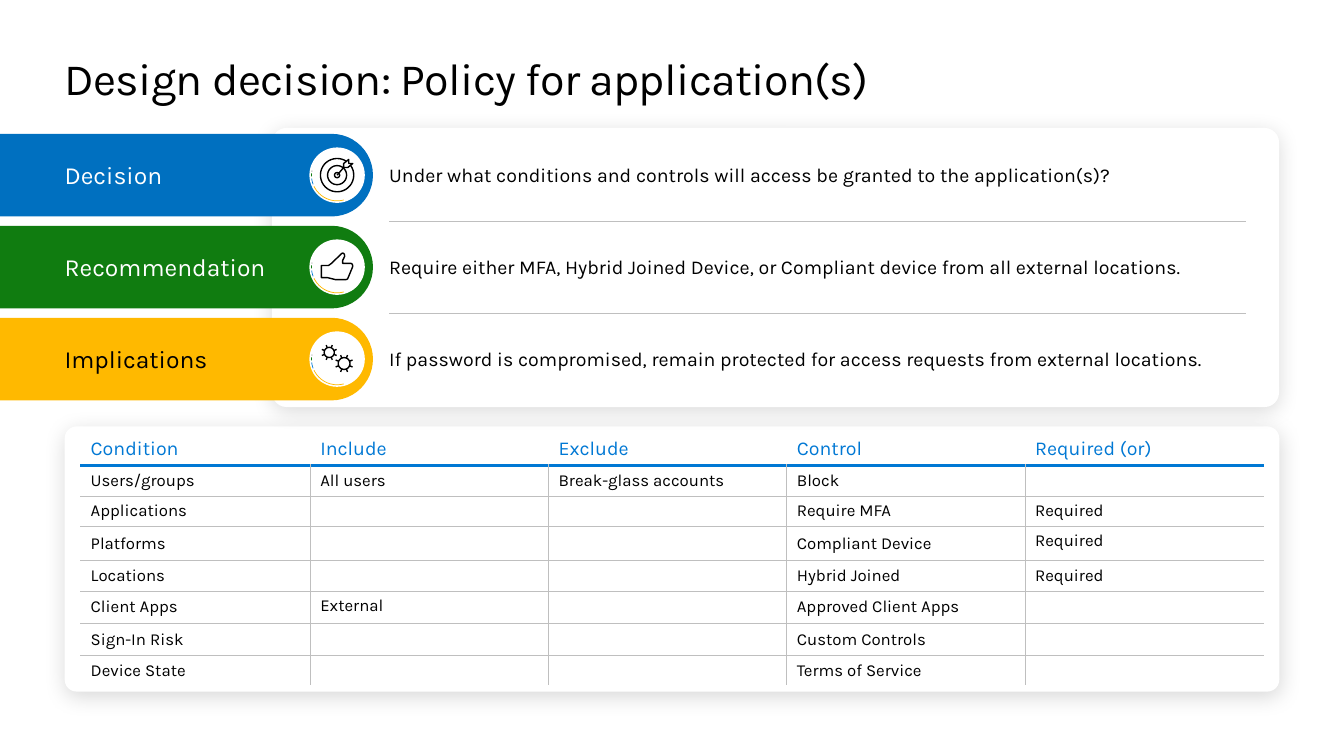
from dataclasses import dataclass
from math import cos, radians, sin

from lxml.etree import SubElement
from pptx import Presentation
from pptx.dml.color import RGBColor
from pptx.enum.shapes import MSO_CONNECTOR, MSO_SHAPE as SHAPE
from pptx.enum.text import MSO_ANCHOR as ANCHOR
from pptx.oxml.ns import qn
from pptx.util import Pt


@dataclass(frozen=True)
class Theme:
    font: str = "Karla"
    white: str = "FFFFFF"
    black: str = "000000"
    blue: str = "0070C0"
    green: str = "107C10"
    yellow: str = "FFB900"
    accent: str = "0078D4"
    dot: str = "737373"
    rule: str = "BFBFBF"
    title_size: float = 32
    label_size: float = 17.6
    body_size: float = 14
    cell_size: float = 12


T = Theme()


def add_text(tf, text, *, size=T.body_size, color=T.black, anchor=ANCHOR.TOP,
             wrap=True, margin=0, spacing=None):
    tf.word_wrap = wrap
    tf.vertical_anchor = anchor
    if margin is not None:
        tf.margin_left = tf.margin_right = tf.margin_top = tf.margin_bottom = Pt(margin)
    r = tf.paragraphs[0].add_run()
    r.text = text
    r.font.name = T.font
    r.font.size = Pt(size)
    r.font.color.rgb = RGBColor.from_string(color)
    if spacing is not None:
        r.font._element.set("spc", str(spacing))


def ring(cx, cy, radius, start=0, end=360):
    """Return the points of a circular arc, clockwise, angles in degrees."""
    angles = [radians(start + (end - start) * i / 36) for i in range(37)]
    return [(cx + radius * cos(a), cy + radius * sin(a)) for a in angles]


# Icons: open or closed outlines around the centre of their disc
target = [
    ring(0, 0, 11.9, -35, 305), ring(0, 0, 6.8), ring(0, 0, 1.8),
    [(0, 0), (4.7, -5.4)],
    [(11.2, -8.3), (8.3, -8.3), (8.3, -11.2), (4.7, -8.3), (4.7, -5.4),
     (7.6, -5.4), (11.2, -8.3)],
]
thumb = [[
    (-11.2, 3.2), (-11.2, 7.6), (-6.8, 7.6), (-4.7, 8.1), (-1.1, 9), (6.1, 9),
    (7, 8.8), (7.6, 8.3), (11.2, -0.4), (11, -1.8), (10.4, -2.5), (9.7, -2.6),
    (4, -2.6), (4, -4.7), (5.4, -7.6), (5.3, -9), (4.7, -9.8), (4, -10),
    (3.2, -9.6), (-4, -2.6), (-6.1, -1.1), (-11.2, -1.1), (-11.2, 3.2),
]]
gears = []
for cx, cy, radius, tip in [(-5.6, -4.7, 3.6, 5.7), (5, 3.2, 4.2, 6.5)]:
    gears.append(ring(cx, cy, radius))
    for k in range(8):
        a = radians(22.5 + 45 * k)
        gears.append([(cx + d * cos(a), cy + d * sin(a)) for d in (radius, tip)])

rows = [
    ("Decision", T.blue, T.white, target,
     "Under what conditions and controls will access be granted to the application(s)?"),
    ("Recommendation", T.green, T.white, thumb,
     "Require either MFA, Hybrid Joined Device, or Compliant device from all external locations."),
    ("Implications", T.yellow, T.black, gears,
     "If password is compromised, remain protected for access requests from external locations."),
]
LEFT, BODY_LEFT, BODY_WIDTH = 46.1, 278, 612
FIRST_ROW, ROW_STEP = 125.1, 65.7
DISC_X = 240.8

prs = Presentation()
prs.slide_width, prs.slide_height = Pt(960), Pt(540)
s = prs.slides.add_slide(prs.slide_layouts[6])
shapes = s.shapes

# Preset shapes: kind, centre, size, rotation, adjustments, fill, line
presets = [
    (SHAPE.ROUNDED_RECTANGLE, 480, 399.3, 867.6, 189.4, 0, [0.045], T.white, None),
    (SHAPE.ROUNDED_RECTANGLE, 554, 191.1, 719.3, 199.4, 0, [0.052], T.white, None),
]
for i, (label, color, *rest) in enumerate(rows):
    y = FIRST_ROW + i * ROW_STEP
    presets += [
        (SHAPE.ROUND_2_SAME_RECTANGLE, 133.2, y, 59, 266.4, 90, [0.5, 0], color, None),
        (SHAPE.OVAL, DISC_X, y, 39.6, 39.6, 0, [], T.white, None),
    ]
    for turn, end, line in [(0, 92.538, T.yellow), (83.9, 53.098, T.accent),
                            (102, 49.111, T.green)]:
        presets.append((SHAPE.ARC, DISC_X, y, 36.7, 36.7, turn, [45.055, end], None, line))
    presets.append((SHAPE.OVAL, 222.8, y - 2.9, 0.7, 0.7, 0, [], T.dot, None))

for n, (kind, cx, cy, w, h, turn, adjustments, fill, line) in enumerate(presets):
    sp = shapes.add_shape(kind, Pt(cx - w / 2), Pt(cy - h / 2), Pt(w), Pt(h))
    sp.rotation = turn
    sp.shadow.inherit = False
    for k, value in enumerate(adjustments):
        sp.adjustments[k] = value
    if fill:
        sp.fill.solid()
        sp.fill.fore_color.rgb = RGBColor.from_string(fill)
    else:
        sp.fill.background()
    if line:
        sp.line.color.rgb = RGBColor.from_string(line)
        sp.line.width = Pt(0.5)
    else:
        sp.line.fill.background()
    if n < 2:  # the two cards cast a soft shadow
        effects = sp._element.spPr.find(qn("a:effectLst"))
        shadow = SubElement(effects, qn("a:outerShdw"), blurRad=str(Pt(15)),
                            dist=str(Pt(3)), dir="5400000", algn="ctr", rotWithShape="0")
        tint = SubElement(shadow, qn("a:srgbClr"), val=T.black)
        SubElement(tint, qn("a:alpha"), val="14000")

for i in range(1, len(rows)):
    y = Pt(FIRST_ROW + (i - 0.5) * ROW_STEP + 0.4)
    rule = shapes.add_connector(MSO_CONNECTOR.STRAIGHT, Pt(BODY_LEFT), y,
                                Pt(BODY_LEFT + BODY_WIDTH), y)
    rule.line.color.rgb = RGBColor.from_string(T.rule)
    rule.line.width = Pt(0.5)
    SubElement(rule._element.spPr, qn("a:effectLst"))

title = shapes.add_textbox(Pt(LEFT), Pt(36), Pt(867.6), Pt(39))
add_text(title.text_frame, "Design decision: Policy for application(s)",
         size=T.title_size, spacing=-50)

for i, (label, color, label_color, outlines, statement) in enumerate(rows):
    y = FIRST_ROW + i * ROW_STEP
    box = shapes.add_textbox(Pt(LEFT), Pt(y - 10.8), Pt(146), Pt(21.6))
    add_text(box.text_frame, label, size=T.label_size, color=label_color,
             anchor=ANCHOR.MIDDLE, wrap=False)

    fb = shapes.build_freeform(Pt(DISC_X + outlines[0][0][0]), Pt(y + outlines[0][0][1]))
    for outline in outlines:
        first, *others = [(Pt(DISC_X + dx), Pt(y + dy)) for dx, dy in outline]
        fb.move_to(*first)
        fb.add_line_segments(others, close=False)
    icon = fb.convert_to_shape()
    icon.shadow.inherit = False
    icon.fill.background()
    icon.line.color.rgb = RGBColor.from_string(T.black)
    icon.line.width = Pt(1)

    box = shapes.add_textbox(Pt(BODY_LEFT), Pt(y - 8.6), Pt(BODY_WIDTH), Pt(17.3))
    add_text(box.text_frame, statement)

cells = [
    ["Condition", "Include", "Exclude", "Control", "Required (or)"],
    ["Users/groups", "All users", "Break-glass accounts", "Block", ""],
    ["Applications", "", "", "Require MFA", "Required"],
    ["Platforms", "", "", "Compliant Device", "Required"],
    ["Locations", "", "", "Hybrid Joined", "Required"],
    ["Client Apps", "External", "", "Approved Client Apps", ""],
    ["Sign-In Risk", "", "", "Custom Controls", ""],
    ["Device State", "", "", "Terms of Service", ""],
]
col_widths = [164] + [170.2] * 4
row_heights = [24.5, 21.6, 21.6, 24.5, 21.6, 23.3, 23, 21.6]
table = shapes.add_table(len(cells), len(col_widths), Pt(57.6), Pt(308.2),
                         Pt(sum(col_widths)), Pt(sum(row_heights))).table
table.first_row = table.horz_banding = False
for column, w in zip(table.columns, col_widths):
    column.width = Pt(w)
for row, h in zip(table.rows, row_heights):
    row.height = Pt(h)

grid, edge, header_rule = (T.rule, 0.5), (T.white, 1), (T.accent, 2.25)
for i, texts in enumerate(cells):
    for j, text in enumerate(texts):
        cell = table.cell(i, j)
        cell.fill.solid()
        cell.fill.fore_color.rgb = RGBColor.from_string(T.white)
        header = i == 0
        if text:
            add_text(cell.text_frame, text, margin=None,
                     size=T.body_size if header else T.cell_size,
                     color=T.accent if header else T.black)
        else:
            SubElement(cell.text_frame.paragraphs[0]._p, qn("a:endParaRPr"),
                       sz=str(T.cell_size * 100))
        cell.vertical_anchor = ANCHOR.MIDDLE if header or j in (0, 3) else ANCHOR.TOP
        borders = {
            "a:lnL": edge if header or j == 0 else grid,
            "a:lnR": edge if header or j == len(texts) - 1 else grid,
            "a:lnT": edge if header else header_rule if i == 1 else grid,
            "a:lnB": header_rule if header else edge if i == len(cells) - 1 else grid,
        }
        tcPr = cell._tc.get_or_add_tcPr()
        for k, (tag, (color, width)) in enumerate(borders.items()):
            ln = SubElement(tcPr, qn(tag), w=str(Pt(width)))
            SubElement(SubElement(ln, qn("a:solidFill")), qn("a:srgbClr"), val=color)
            tcPr.insert(k, ln)

prs.save("out.pptx")
